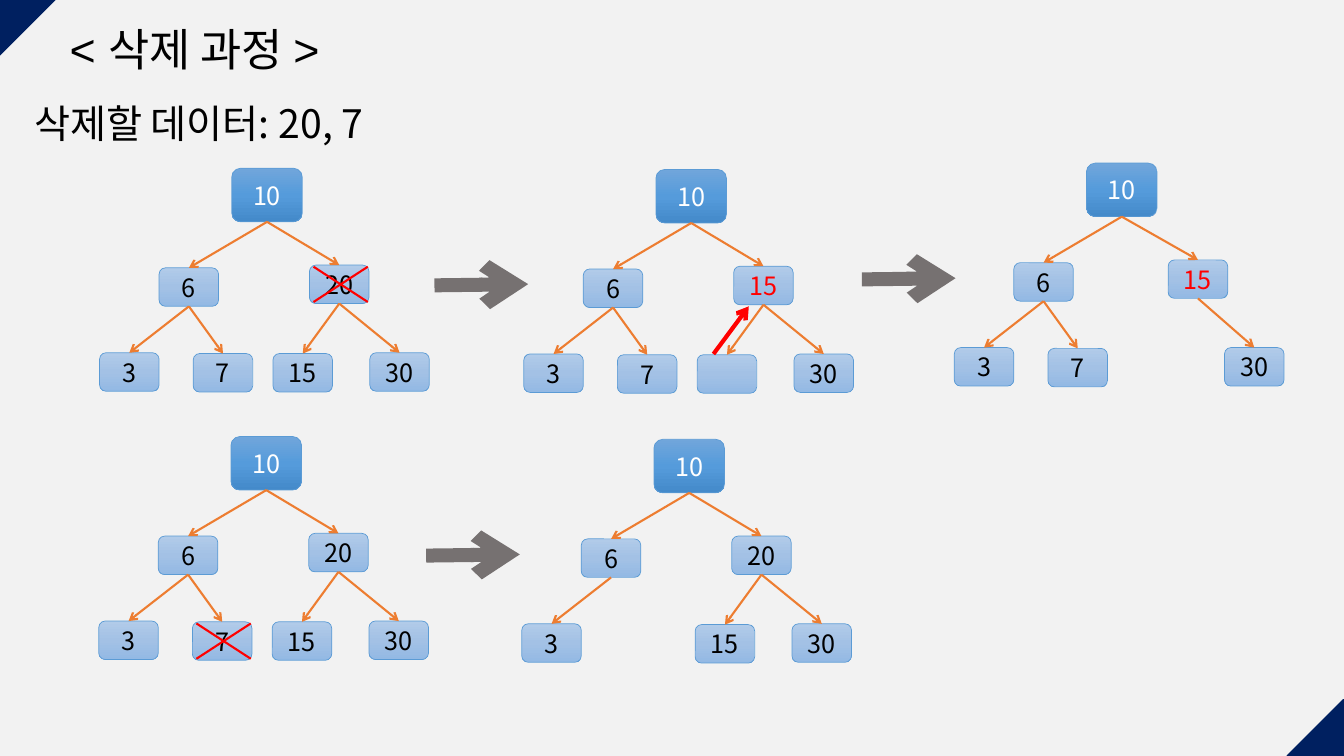
import copy

import pptx
import pptx.dml.color
import pptx.enum.shapes
import pptx.enum.text
import pptx.oxml.ns
import pptx.oxml.xmlchemy
import pptx.util
from lxml import etree
from pptx.util import Cm, Pt

SHAPE = pptx.enum.shapes.MSO_SHAPE
TEXT = pptx.enum.text
FONT = "Noto Sans CJK KR"
DARK = ("71A6DB", "559BDB", "448ACA")
LIGHT = ("B1CBE9", "A3C1E5", "93B9E4")

# Each node: parent index, offset from the root's corner in cm
NODES = [
    (None, 0, 0),
    (0, -1.83, 2.51),
    (0, 1.96, 2.44),
    (1, -3.33, 4.65),
    (1, -0.97, 4.67),
    (2, 1.04, 4.67),
    (2, 3.48, 4.65),
]


def color(code):
    return pptx.dml.color.RGBColor.from_string(code)


def style(para, text, size, code, font=FONT):
    para.text = text
    para.font.size = Pt(size)
    para.font.name = font
    para.font.color.rgb = color(code)
    # East Asian letters take their own font element
    props = para._p.get_or_add_pPr().get_or_add_defRPr()
    etree.SubElement(props, pptx.oxml.ns.qn("a:ea"), typeface=FONT)


def shade(shape, codes):
    fill = shape.fill
    fill.gradient()
    fill.gradient_angle = 270
    stops = shape._element.spPr.find(".//" + pptx.oxml.ns.qn("a:gsLst"))
    stops.insert(1, copy.deepcopy(stops[0]))
    for stop, code, place in zip(fill.gradient_stops, codes, (0, 0.5, 1)):
        stop.color.rgb = color(code)
        stop.position = place


def link(slide, start, end, code, width, head=True):
    line = slide.shapes.add_connector(
        pptx.enum.shapes.MSO_CONNECTOR.STRAIGHT, *start, *end)
    line.line.color.rgb = color(code)
    line.line.width = Pt(width)
    if head:
        etree.SubElement(line.line._get_or_add_ln(),
                         pptx.oxml.ns.qn("a:tailEnd"), type="arrow")
    etree.SubElement(line._element.spPr, pptx.oxml.ns.qn("a:effectLst"))
    return line


def node(slide, left, top, text, root, code):
    size = (Cm(1.78), Cm(1.35)) if root else (Cm(1.5), Cm(0.97))
    box = slide.shapes.add_shape(SHAPE.ROUNDED_RECTANGLE, left, top, *size)
    box.shadow.inherit = False
    shade(box, DARK if root else LIGHT)
    box.line.color.rgb = color("5B9BD5")
    box.line.width = Pt(0.5)
    if text:
        frame = box.text_frame
        frame.vertical_anchor = TEXT.MSO_ANCHOR.MIDDLE
        para = frame.paragraphs[0]
        para.alignment = TEXT.PP_ALIGN.CENTER
        style(para, text, 18, code)
    return box


def tree(slide, left, top, keys, red=None, shift=0):
    """Draw a tree; None skips a node, shift moves the right child."""
    boxes = []
    for spot, (key, (up, dx, dy)) in enumerate(zip(keys, NODES)):
        if key is None:
            boxes.append(None)
            continue
        root = up is None
        code = "FFFFFF" if root else "FF0000" if spot == red else "000000"
        move = shift if spot == 2 else 0
        box = node(slide, Cm(left + dx + move), Cm(top + dy), key, root, code)
        boxes.append(box)
        if not root:
            edge = link(slide, (0, 0), (0, 0), "ED7D31", 1.5)
            edge.begin_connect(boxes[up], 2)
            edge.end_connect(box, 0)
    return boxes


def cross(slide, box):
    left, right = box.left + Cm(0.1), box.left + box.width - Cm(0.03)
    top, low = box.top + Cm(0.04), box.top + box.height - Cm(0.04)
    link(slide, (left, top), (right, low), "FF0000", 1.5, False)
    link(slide, (right, top), (left, low), "FF0000", 1.5, False)


def corner(slide, left, top, turn):
    shape = slide.shapes.add_shape(
        SHAPE.RIGHT_TRIANGLE, Cm(left), Cm(top), Cm(1.42), Cm(1.42))
    shape.shadow.inherit = False
    shape.rotation = turn
    shape.fill.solid()
    shape.fill.fore_color.rgb = color("002060")
    shape.line.color.rgb = color("002060")
    shape.line.width = Pt(1)


def label(box, place, text, size, font, wrap):
    box.left, box.top, box.width, box.height = map(Cm, place)
    frame = box.text_frame
    frame.word_wrap = wrap
    frame.auto_size = TEXT.MSO_AUTO_SIZE.NONE
    frame.vertical_anchor = TEXT.MSO_ANCHOR.TOP
    para = frame.paragraphs[0]
    para.alignment = TEXT.PP_ALIGN.LEFT
    style(para, text, size, "000000", font)


def main():
    deck = pptx.Presentation()
    deck.slide_width, deck.slide_height = Cm(33.87), Cm(19.05)
    slide = deck.slides.add_slide(deck.slide_layouts[5])
    slide.background.fill.solid()
    slide.background.fill.fore_color.rgb = color("F2F2F2")

    # Corners and headings
    corner(slide, -0.02, -0.02, 90)
    corner(slide, 32.44, 17.63, 270)
    label(slide.shapes.title, (1.5, 0.43, 7.87, 1.63),
          "< 삭제 과정 >", 32, "Arial", False)
    note = slide.shapes.add_textbox(0, 0, 0, 0)
    label(note, (0.61, 2.39, 16.74, 1.45),
          "삭제할 데이터: 20, 7", 28, FONT, True)

    # Top row: 20 is removed and 15 takes its place
    full = ["10", "6", "20", "3", "7", "15", "30"]
    first = tree(slide, 5.84, 4.24, full)
    cross(slide, first[2])
    tree(slide, 16.53, 4.27, ["10", "6", "15", "3", "7", "", "30"], 2)
    link(slide, (Cm(17.98), Cm(8.92)), (Cm(18.87), Cm(7.72)), "FF0000", 3)
    tree(slide, 27.38, 4.11, ["10", "6", "15", "3", "7", None, "30"], 2, 0.1)

    # Bottom row: the leaf 7 is removed
    leaf = tree(slide, 5.82, 11, full)
    cross(slide, leaf[4])
    tree(slide, 16.48, 11.07, ["10", "6", "20", "3", None, "15", "30"])

    # Step arrows
    for left, top in ((10.95, 7.19), (21.72, 7.04), (10.74, 14)):
        link(slide, (Cm(left), Cm(top)), (Cm(left + 2.36), Cm(top - 0.03)),
             "767171", 10)

    deck.save("out.pptx")


if __name__ == "__main__":
    main()
